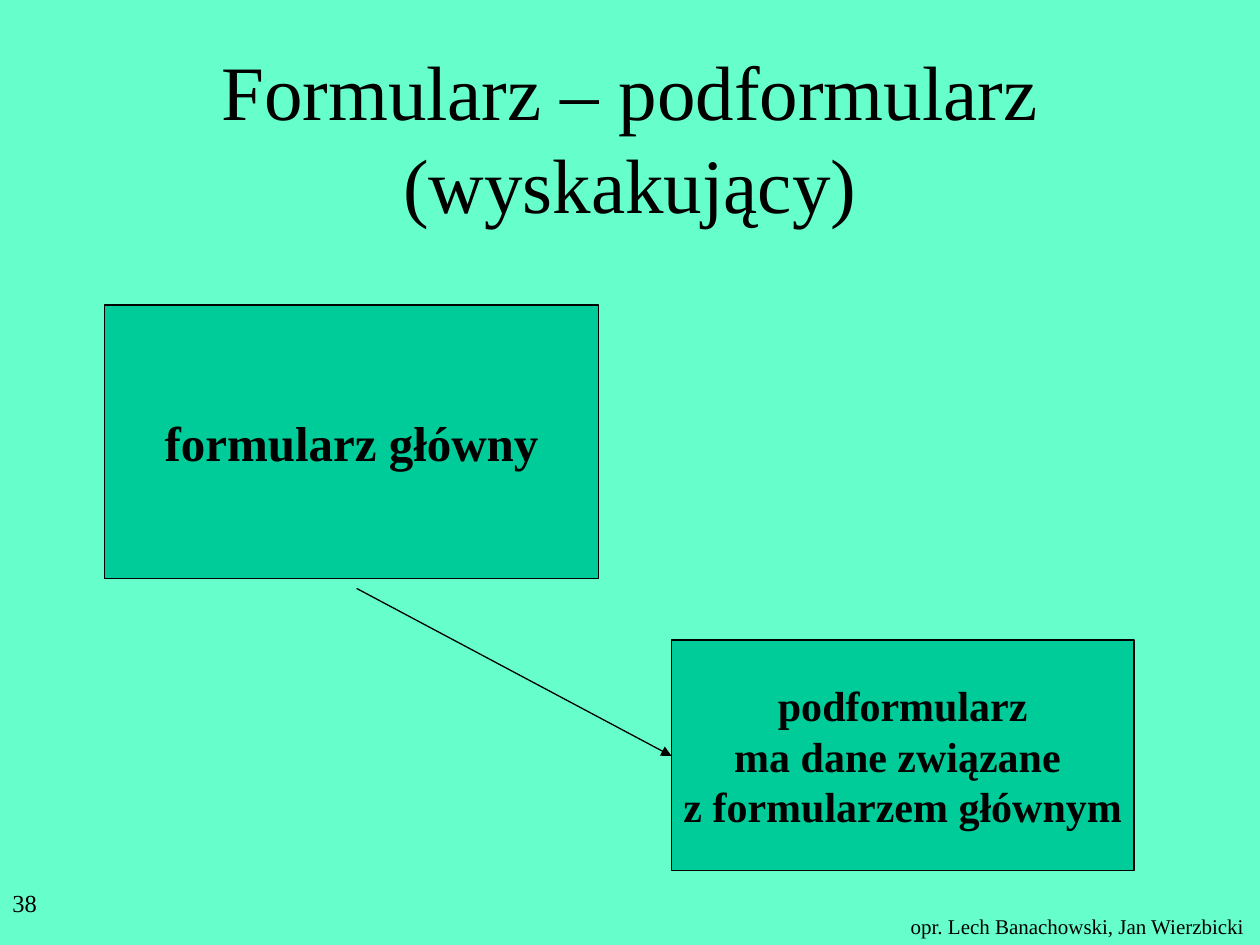
from lxml.etree import SubElement
from pptx import Presentation
from pptx.dml.color import RGBColor
from pptx.enum.shapes import MSO_CONNECTOR, MSO_SHAPE
from pptx.enum.text import MSO_ANCHOR, MSO_AUTO_SIZE, PP_ALIGN
from pptx.oxml.ns import qn
from pptx.util import Inches, Pt

MINT = RGBColor(0x66, 0xFF, 0xCC)
GREEN = RGBColor(0x00, 0xCC, 0x99)
BLACK = RGBColor(0, 0, 0)
FONT = "Times New Roman"


def write(shape, text, size, bold=False, align=PP_ALIGN.LEFT,
          anchor=MSO_ANCHOR.TOP, wrap=True):
    """Fill a shape with one formatted paragraph."""
    frame = shape.text_frame
    frame.auto_size = MSO_AUTO_SIZE.NONE
    frame.word_wrap = wrap
    frame.vertical_anchor = anchor
    para = frame.paragraphs[0]
    para.text = text
    para.alignment = align
    for font in (para.font, para.runs[0].font):
        font.name = FONT
    for run in para.runs:
        run.font.name = FONT
        run.font.size = Pt(size)
        run.font.bold = bold
        run.font.color.rgb = BLACK


def add_title(slide, box, text):
    """Place the slide title in its box."""
    title = slide.shapes.title
    title.left, title.top, title.width, title.height = map(Inches, box)
    write(title, text, 44, align=PP_ALIGN.CENTER, anchor=MSO_ANCHOR.MIDDLE)


def add_form(slide, box, text, size):
    """Draw a form as a labelled rectangle."""
    form = slide.shapes.add_shape(MSO_SHAPE.RECTANGLE, *map(Inches, box))
    form.shadow.inherit = False
    form.fill.solid()
    form.fill.fore_color.rgb = GREEN
    form.line.color.rgb = BLACK
    form.line.width = Pt(0.75)
    write(form, text, size, bold=True, align=PP_ALIGN.CENTER,
          anchor=MSO_ANCHOR.MIDDLE, wrap=False)


def add_arrow(slide, start, end):
    """Draw an arrow between two points."""
    arrow = slide.shapes.add_connector(
        MSO_CONNECTOR.STRAIGHT, *map(Inches, start + end))
    arrow.line.color.rgb = BLACK
    arrow.line.width = Pt(0.75)
    SubElement(arrow.line._get_or_add_ln(), qn("a:tailEnd"), type="triangle")
    SubElement(arrow._element.spPr, qn("a:effectLst"))


def add_note(slide, box, text, size, **style):
    """Place a small text at the foot of the slide."""
    note = slide.shapes.add_textbox(*map(Inches, box))
    write(note, text, size, **style)


def main():
    """Build the slide and save it."""
    deck = Presentation()
    deck.slide_width, deck.slide_height = Inches(10), Inches(7.5)
    slide = deck.slides.add_slide(deck.slide_layouts[5])
    slide.background.fill.solid()
    slide.background.fill.fore_color.rgb = MINT

    add_note(slide, (7.13, 7.2, 2.86, 0.3),
             "opr. Lech Banachowski, Jan Wierzbicki", 12, wrap=False)
    add_title(slide, (0.75, 0.33, 8.5, 1.5),
              "Formularz – podformularz (wyskakujący)")
    add_form(slide, (0.83, 2.42, 3.92, 2.17), "formularz główny", 28)
    add_form(slide, (5.33, 5.08, 3.67, 1.83),
             "podformularz\vma dane związane \vz formularzem głównym", 24)
    add_arrow(slide, (2.83, 4.67), (5.33, 6))
    add_note(slide, (0, 7, 2.08, 0.5), "38", 14)
    deck.save("out.pptx")


if __name__ == "__main__":
    main()
